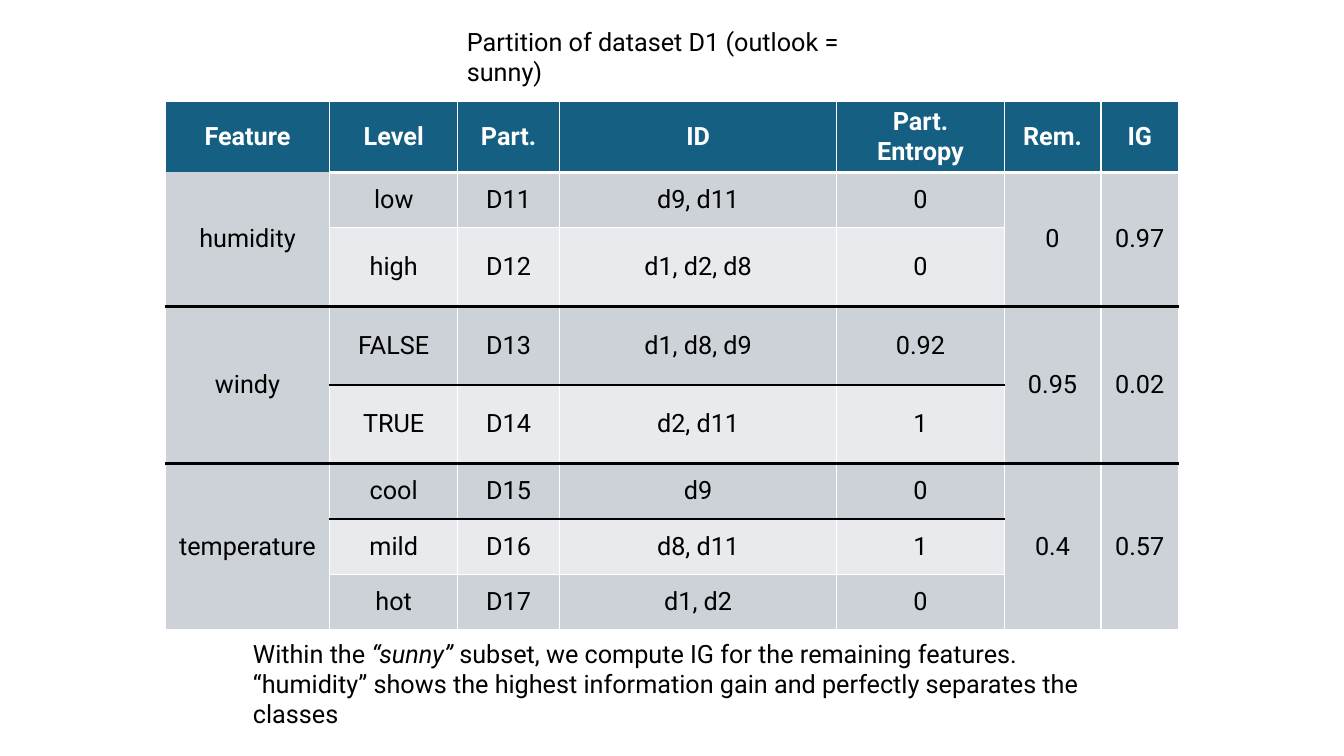
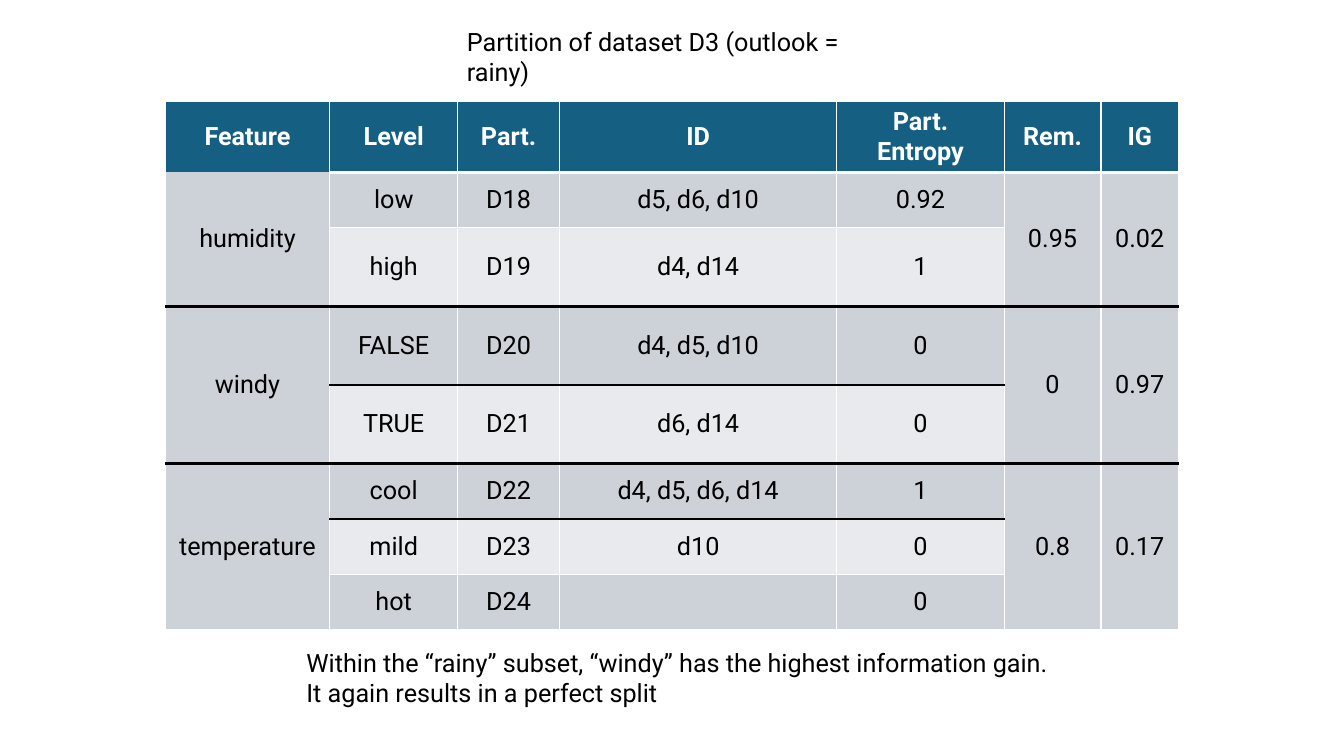
import pptx
import pptx.util
import pptx.dml.color
import pptx.enum.text
import pptx.oxml
import pptx.oxml.ns
from lxml import etree

Inches, Pt = pptx.util.Inches, pptx.util.Pt
RGBColor = pptx.dml.color.RGBColor
PP_ALIGN = pptx.enum.text.PP_ALIGN
MSO_ANCHOR = pptx.enum.text.MSO_ANCHOR
qn = pptx.oxml.ns.qn

FONT, SIZE = "Roboto", Pt(18)
BLACK, WHITE = RGBColor(0x00, 0x00, 0x00), RGBColor(0xFF, 0xFF, 0xFF)
HEADER_FILL = RGBColor(0x15, 0x60, 0x82)
DARK_BAND, LIGHT_BAND = RGBColor(0xCC, 0xD2, 0xD8), RGBColor(0xE8, 0xEA, 0xED)
GRID, HEADER_RULE, BLACK_RULE = (WHITE, 1), (WHITE, 3), (BLACK, 2.25)
NO_STYLE = "{2D5ABB26-0587-4C30-8999-92F81FD0307C}"

HEADERS = ["Feature", "Level", "Part.", "ID", "Part. Entropy", "Rem.", "IG"]
COL_WIDTHS = [1.63, 1.27, 1.01, 2.75, 1.66, 0.96, 0.77]
ROW_HEIGHTS = [0.55, 0.55, 0.78, 0.78, 0.78, 0.55, 0.55, 0.55]
MERGED_COLS = (0, 5, 6)
FULL_RULES = (2, 4)      # rows with a black rule below every cell
LEVEL_RULES = (3, 5)     # rows with a black rule below the level cells only
FEATURES = [
    ("humidity", ["low", "high"]),
    ("windy", ["FALSE", "TRUE"]),
    ("temperature", ["cool", "mild", "hot"]),
]

SLIDES = [
    {
        "title": "Partition of dataset D1 (outlook = sunny)",
        "title_width": 4.54,
        "first_part": 11,
        "levels": [("d9, d11", "0"), ("d1, d2, d8", "0"), ("d1, d8, d9", "0.92"),
                   ("d2, d11", "1"), ("d9", "0"), ("d8, d11", "1"), ("d1, d2", "0")],
        "gains": [("0", "0.97"), ("0.95", "0.02"), ("0.4", "0.57")],
        "caption": [
            [("Within the ", False), ("“sunny”", True),
             (" subset, we compute IG for the remaining features.", False)],
            [("“humidity” shows the highest information gain and perfectly "
              "separates the classes", False)],
        ],
        "caption_at": (2.41, 6.28, 9.08, 0.71),
    },
    {
        "title": "Partition of dataset D3 (outlook = rainy)",
        "title_width": 4.41,
        "first_part": 18,
        "levels": [("d5, d6, d10", "0.92"), ("d4, d14", "1"), ("d4, d5, d10", "0"),
                   ("d6, d14", "0"), ("d4, d5, d6, d14", "1"), ("d10", "0"), ("", "0")],
        "gains": [("0.95", "0.02"), ("0", "0.97"), ("0.8", "0.17")],
        "caption": [
            [("Within the “rainy” subset, “windy” has the highest information gain.", False)],
            [("It again results in a perfect split", False)],
        ],
        "caption_at": (2.94, 6.37, 7.59, 0.71),
    },
]


def add_run(p, text, color=BLACK, bold=False, italic=False):
    r = p.add_run()
    r.text = text
    r.font.name, r.font.size = FONT, SIZE
    r.font.bold, r.font.italic = bold, italic
    r.font.color.rgb = color


def place(sp, left, top, width, height):
    """Position a text shape and let its text flow from the top left."""
    sp.left, sp.top, sp.width, sp.height = map(Inches, (left, top, width, height))
    tf = sp.text_frame
    tf.word_wrap = True
    tf.vertical_anchor = MSO_ANCHOR.TOP
    tf.auto_size = pptx.enum.text.MSO_AUTO_SIZE.SHAPE_TO_FIT_TEXT
    p = tf.paragraphs[0]
    p.alignment = PP_ALIGN.LEFT
    return p


def set_borders(cell, borders):
    """Write (colour, points) lines for the sides L, R, T, B, in that order."""
    tcPr = cell._tc.get_or_add_tcPr()
    for side, (color, points) in borders.items():
        ln = etree.SubElement(tcPr, qn(f"a:ln{side}"), w=str(Pt(points)))
        fill = etree.SubElement(ln, qn("a:solidFill"))
        etree.SubElement(fill, qn("a:srgbClr"), val=str(color))


def bottom_rule(row, col):
    if row == 0:
        return None if col == 0 else HEADER_RULE
    if row in FULL_RULES or (row in LEVEL_RULES and col not in MERGED_COLS):
        return BLACK_RULE
    inside_merge = col in MERGED_COLS and row < len(ROW_HEIGHTS) - 1
    return None if inside_merge else GRID


def table_rows(data):
    """Return the rows of text and the (first, last) row of each feature."""
    rows, spans = [HEADERS], []
    for (feature, levels), gain in zip(FEATURES, data["gains"]):
        first = len(rows)
        for level in levels:
            n = len(rows) - 1
            ids, entropy = data["levels"][n]
            part = f"D{data['first_part'] + n}"
            opening = len(rows) == first
            rows.append([feature if opening else "", level, part, ids, entropy,
                         *(gain if opening else ("", ""))])
        spans.append((first, len(rows) - 1))
    return rows, spans


def add_partition_table(s, data):
    rows, spans = table_rows(data)
    frame = s.shapes.add_table(len(rows), len(HEADERS), Inches(1.64), Inches(1.01),
                               Inches(sum(COL_WIDTHS)), Inches(sum(ROW_HEIGHTS)))
    table = frame.table
    table._tbl.tblPr.find(qn("a:tableStyleId")).text = NO_STYLE
    table.horz_banding = False
    for column, width in zip(table.columns, COL_WIDTHS):
        column.width = Inches(width)
    for row, height in zip(table.rows, ROW_HEIGHTS):
        row.height = Inches(height)

    merge_end = dict(spans)
    for i, texts in enumerate(rows):
        header = i == 0
        for j, text in enumerate(texts):
            cell = table.cell(i, j)
            borders = {"L": GRID, "R": GRID}
            if header:
                borders["T"] = GRID
            last = merge_end.get(i, i) if j in MERGED_COLS else i
            rule = bottom_rule(last, j)
            if rule:
                borders["B"] = rule
            set_borders(cell, borders)
            dark = j in MERGED_COLS or i % 2
            cell.fill.solid()
            cell.fill.fore_color.rgb = (HEADER_FILL if header else
                                        DARK_BAND if dark else LIGHT_BAND)
            cell.vertical_anchor = MSO_ANCHOR.MIDDLE
            if header:
                cell.margin_left = cell.margin_right = Inches(0.12)
            p = cell.text_frame.paragraphs[0]
            p.alignment = PP_ALIGN.CENTER
            if text:
                add_run(p, text, WHITE if header else BLACK, bold=header)

    for first, last in spans:
        for j in MERGED_COLS:
            table.cell(first, j).merge(table.cell(last, j))


def add_caption(s, lines, at):
    sp = s.shapes.add_textbox(0, 0, 0, 0)
    p = place(sp, *at)
    for n, line in enumerate(lines):
        if n:
            p.add_line_break()
        for text, italic in line:
            add_run(p, text, italic=italic)


def main():
    prs = pptx.Presentation()
    prs.slide_width, prs.slide_height = Inches(13.33), Inches(7.5)
    title_only = prs.slide_layouts[5]
    for data in SLIDES:
        s = prs.slides.add_slide(title_only)
        add_run(place(s.shapes.title, 4.53, 0.21, data["title_width"], 0.4), data["title"])
        add_partition_table(s, data)
        add_caption(s, data["caption"], data["caption_at"])
    prs.save("out.pptx")


if __name__ == "__main__":
    main()
